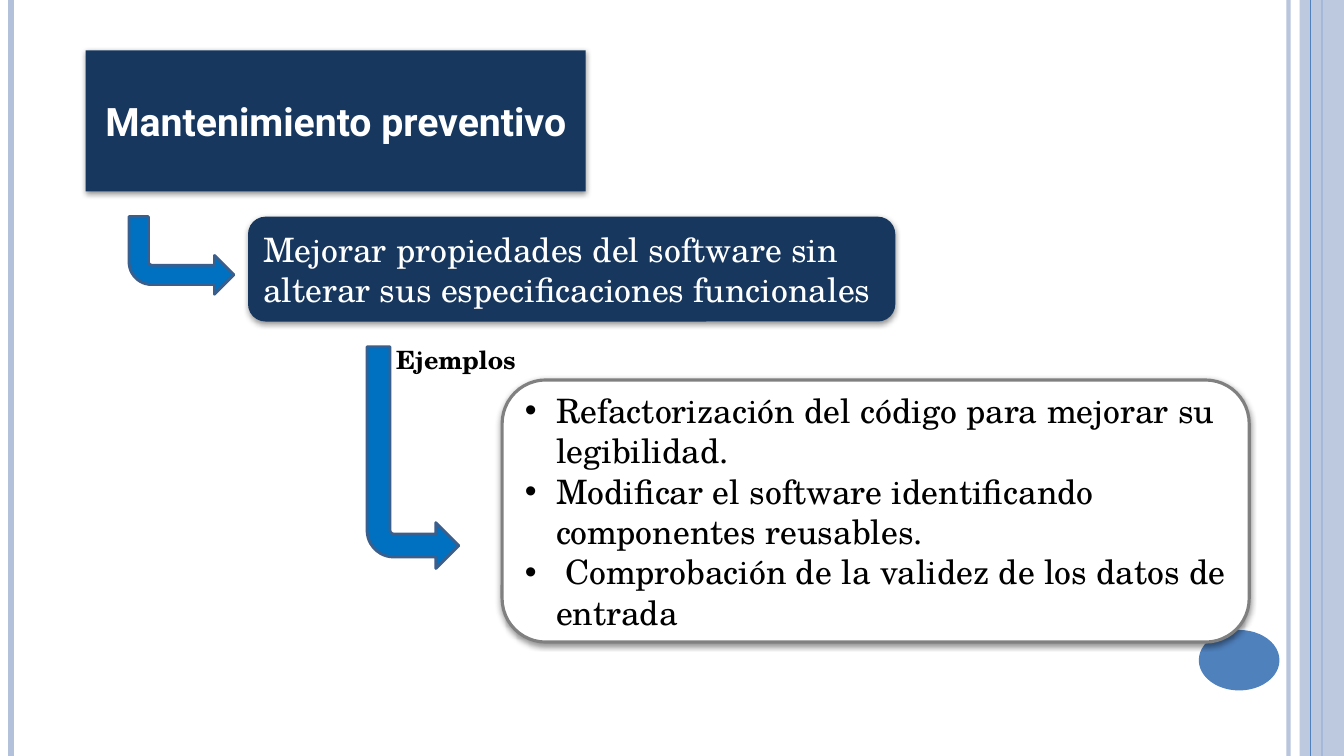
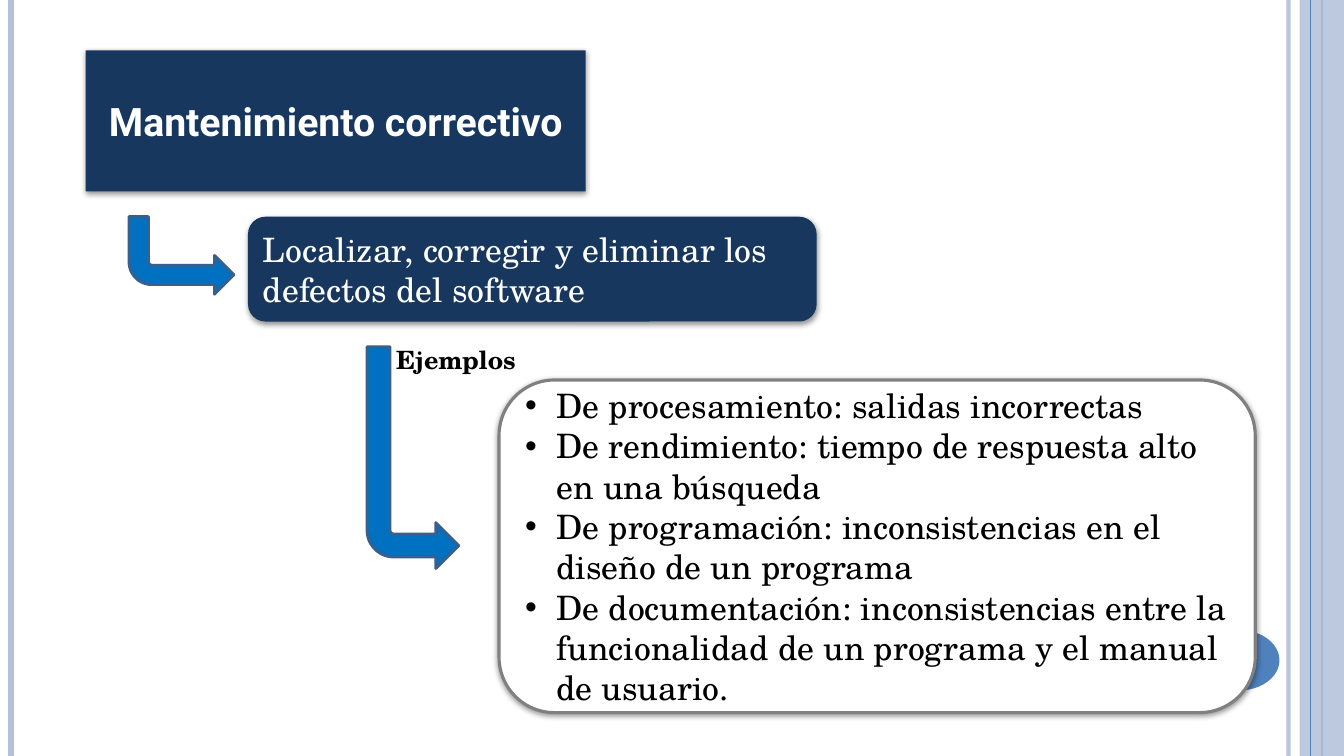
from lxml.etree import SubElement
from pptx import Presentation
from pptx.dml.color import RGBColor
from pptx.enum.shapes import MSO_CONNECTOR, MSO_SHAPE
from pptx.enum.text import MSO_ANCHOR, MSO_AUTO_SIZE, PP_ALIGN
from pptx.oxml.ns import qn
from pptx.util import Inches, Pt

SLIDES = [
    {
        "title": "Mantenimiento preventivo",
        "definition": "Mejorar propiedades del software sin alterar sus "
                      "especificaciones funcionales",
        "definition_width": 6.42,
        "examples": [
            "Refactorización del código para mejorar su legibilidad.",
            "Modificar el software identificando componentes reusables.",
            " Comprobación de la validez de los datos de entrada",
        ],
        "examples_box": (4.98, 3.77, 7.41, 2.6),
    },
    {
        "title": "Mantenimiento correctivo",
        "definition": "Localizar, corregir y eliminar los defectos del software",
        "definition_width": 5.64,
        "examples": [
            "De procesamiento: salidas incorrectas",
            "De rendimiento: tiempo de respuesta alto en una búsqueda",
            "De programación: inconsistencias en el diseño de un programa",
            "De documentación: inconsistencias entre la funcionalidad de un "
            "programa y el manual de usuario.",
        ],
        "examples_box": (4.95, 3.77, 7.5, 3.3),
    },
]
EXAMPLES_LABEL = "Ejemplos"

COLORS = {
    "navy": "17375E", "blue": "0070C0", "outline": "3A5F8C", "accent": "4F81BD",
    "pale": "B3C1DB", "grey": "808080", "white": "FFFFFF", "black": "000000",
}
BODY_FONT = "TeX Gyre Schola"
TITLE_FONT = "Roboto"

SLIDE_WIDTH, SLIDE_HEIGHT = 13.33, 7.5
TITLE_BOX = (0.85, 0.5, 4.96, 1.4)
DEFINITION_LEFT, DEFINITION_TOP, DEFINITION_HEIGHT = 2.46, 2.15, 1.04
ARROWS = [(1.28, 2.15, 1.04, 0.77), (3.64, 3.44, 0.91, 2.2)]
ARROW_ADJUSTMENTS = (0.25, 0.25, 0.25, 0.292)
LABEL_BOX = (3.83, 3.37, 1.45, 0.4)
BULLET_INDENT = 0.31

# Side lines: x, colour, width in points, opacity in percent
LINES_BEHIND_BAND = [
    (12.78, "pale", 3, 93), (0.11, "pale", 4.5, 100), (13.11, "accent", 1.5, 100),
]
LINE_OVER_BAND = (13, "accent", 0.75, 100)
BAND_BOX = (12.89, 0, 0.44, SLIDE_HEIGHT)
BAND_OPACITY = 87
PAGE_DOT_BOX = (11.89, 6.25, 0.8, 0.6)


def rgb(name):
    return RGBColor.from_string(COLORS[name])


def inches(box):
    return [Inches(value) for value in box]


def set_opacity(shape, percent):
    for color in shape.element.spPr.iter(qn("a:srgbClr")):
        SubElement(color, qn("a:alpha"), val=str(percent * 1000))


def paint(shape, fill, line=None, width=0):
    shape.shadow.inherit = False
    shape.fill.solid()
    shape.fill.fore_color.rgb = rgb(fill)
    if line:
        shape.line.color.rgb = rgb(line)
        shape.line.width = Pt(width)
    else:
        shape.line.fill.background()


def add_soft_shadow(shape):
    effects = shape.element.spPr.find(qn("a:effectLst"))
    shadow = SubElement(effects, qn("a:outerShdw"), blurRad=str(Pt(4)),
                        dist=str(Pt(1.6)), dir="5400000", rotWithShape="0")
    color = SubElement(shadow, qn("a:srgbClr"), val=COLORS["black"])
    SubElement(color, qn("a:alpha"), val="42000")


def write(shape, lines, size, color, font=BODY_FONT, bold=False,
          align=PP_ALIGN.LEFT, anchor=MSO_ANCHOR.MIDDLE):
    frame = shape.text_frame
    frame.text = "\n".join(lines)
    frame.word_wrap = True
    frame.auto_size = MSO_AUTO_SIZE.NONE
    frame.vertical_anchor = anchor
    for paragraph in frame.paragraphs:
        paragraph.alignment = align
        for run in paragraph.runs:
            run.font.name = font
            run.font.size = Pt(size)
            run.font.bold = bold
            run.font.color.rgb = rgb(color)


def add_bullets(shape):
    indent = Inches(BULLET_INDENT)
    for paragraph in shape.text_frame.paragraphs:
        properties = paragraph._p.get_or_add_pPr()
        properties.set("marL", str(indent))
        properties.set("indent", str(-indent))
        SubElement(properties, qn("a:buFont"), typeface="Arial")
        SubElement(properties, qn("a:buChar"), char="•")


def add_side_line(slide, x, color, width, opacity):
    line = slide.shapes.add_connector(
        MSO_CONNECTOR.STRAIGHT, Inches(x), 0, Inches(x), Inches(SLIDE_HEIGHT))
    line.line.color.rgb = rgb(color)
    line.line.width = Pt(width)
    SubElement(line.element.spPr, qn("a:effectLst"))
    if opacity < 100:
        set_opacity(line, opacity)
    return line


def decorate_layout(layout, slide):
    """Draw the shared side bands on a slide, then move them to its layout."""
    parts = [add_side_line(slide, *line) for line in LINES_BEHIND_BAND]
    band = slide.shapes.add_shape(MSO_SHAPE.RECTANGLE, *inches(BAND_BOX))
    paint(band, "pale")
    set_opacity(band, BAND_OPACITY)
    parts += [band, add_side_line(slide, *LINE_OVER_BAND)]
    page_dot = slide.shapes.add_shape(MSO_SHAPE.OVAL, *inches(PAGE_DOT_BOX))
    paint(page_dot, "accent")
    parts.append(page_dot)
    for part in parts:
        layout.element.cSld.spTree.append(part.element)


def format_title(title, text):
    title.left, title.top, title.width, title.height = inches(TITLE_BOX)
    geometry = SubElement(title.element.spPr, qn("a:prstGeom"), prst="roundRect")
    SubElement(geometry, qn("a:avLst"))
    paint(title, "navy")
    add_soft_shadow(title)
    write(title, [text], 28, "white", TITLE_FONT, True, PP_ALIGN.CENTER)


def add_rounded_box(slide, box, fill, line=None, width=0):
    shape = slide.shapes.add_shape(MSO_SHAPE.ROUNDED_RECTANGLE, *inches(box))
    paint(shape, fill, line, width)
    add_soft_shadow(shape)
    return shape


def add_bent_arrow(slide, box):
    arrow = slide.shapes.add_shape(MSO_SHAPE.BENT_ARROW, *inches(box))
    for index, value in enumerate(ARROW_ADJUSTMENTS):
        arrow.adjustments[index] = value
    arrow.element.spPr.xfrm.set("flipV", "1")
    paint(arrow, "blue", "outline", 2)


def fill_slide(slide, content):
    format_title(slide.shapes.title, content["title"])

    examples = add_rounded_box(slide, content["examples_box"], "white", "grey", 2.25)
    write(examples, content["examples"], 24, "black")
    add_bullets(examples)

    definition_box = (DEFINITION_LEFT, DEFINITION_TOP,
                      content["definition_width"], DEFINITION_HEIGHT)
    definition = add_rounded_box(slide, definition_box, "navy")
    write(definition, [content["definition"]], 24, "white")

    for box in ARROWS:
        add_bent_arrow(slide, box)
    label = slide.shapes.add_textbox(*inches(LABEL_BOX))
    write(label, [EXAMPLES_LABEL], 18, "black", bold=True, anchor=MSO_ANCHOR.TOP)


def main():
    presentation = Presentation()
    presentation.slide_width = Inches(SLIDE_WIDTH)
    presentation.slide_height = Inches(SLIDE_HEIGHT)
    layout = presentation.slide_layouts.get_by_name("Title Only")
    slides = [presentation.slides.add_slide(layout) for _ in SLIDES]
    decorate_layout(layout, slides[0])
    for slide, content in zip(slides, SLIDES):
        fill_slide(slide, content)
    presentation.save("out.pptx")


if __name__ == "__main__":
    main()
